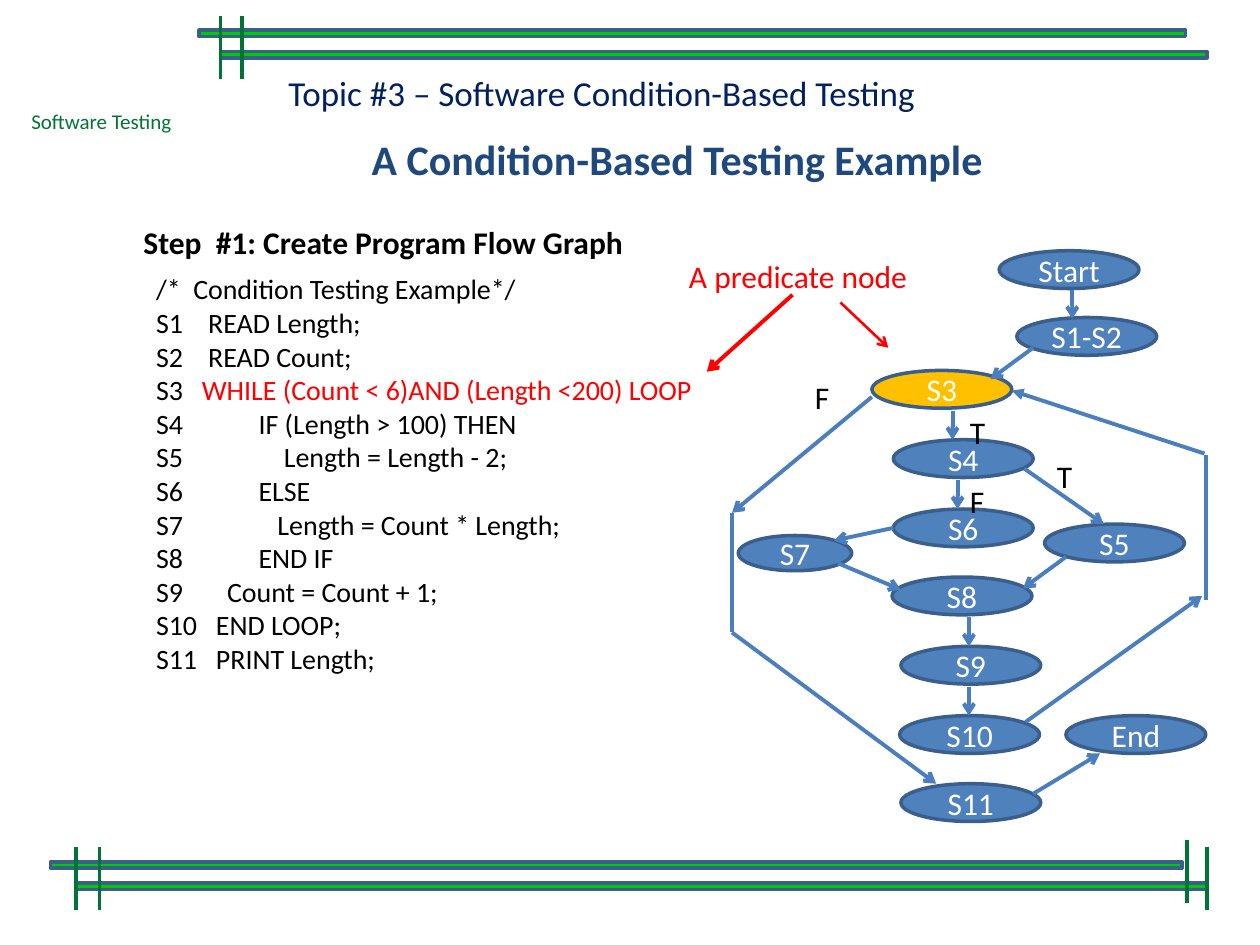
from lxml import etree
from pptx import Presentation
from pptx import util as u
from pptx.dml.color import RGBColor
from pptx.enum import shapes, text
from pptx.oxml.ns import qn

FONT = "Calibri"
GREEN, BAR_GREEN = "007434", "00CC00"
BLUE, OUTLINE, EDGE = "4F81BD", "3A5F8C", "4B7EBC"
AMBER, RED, BLACK, WHITE = "FFC000", "FF0000", "000000", "FFFFFF"

CODE = [
    "/*  Condition Testing Example*/",
    "S1    READ Length;",
    "S2    READ Count;",
    "S3   WHILE (Count < 6)AND (Length <200) LOOP",
    "S4            IF (Length > 100) THEN",
    "S5                Length = Length - 2;",
    "S6            ELSE",
    "S7               Length = Count * Length;",
    "S8            END IF",
    "S9       Count = Count + 1;",
    "S10   END LOOP;",
    "S11   PRINT Length;",
]

# Flow graph places are relative to the graph's top left corner.
NODE_SIZE = (1.11, 0.3)
NODES = {
    "Start": (2.12, 0), "S1-S2": (2.26, 0.53), "S3": (1.11, 0.95),
    "S4": (1.28, 1.5), "S5": (2.48, 2.17), "S6": (1.28, 2.05),
    "S7": (0.05, 2.26), "S8": (1.27, 2.59), "S9": (1.34, 3.14),
    "S10": (1.33, 3.69), "S11": (1.34, 4.23), "End": (2.65, 3.69),
}
EDGES = [
    (2.7, 0.31, 2.7, 0.54, "arrow"),      # Start to S1-S2
    (2.39, 0.77, 2.05, 1.02, "arrow"),    # S1-S2 to S3
    (1.75, 1.27, 1.75, 1.5, "arrow"),     # S3 to S4
    (1.79, 1.82, 1.79, 2.05, "arrow"),    # S4 to S6
    (2.32, 1.73, 2.95, 2.17, "arrow"),    # S4 to S5
    (1.28, 2.2, 0.81, 2.3, "arrow"),      # S6 to S7
    (2.65, 2.43, 2.31, 2.68, "arrow"),    # S5 to S8
    (0.84, 2.48, 1.34, 2.69, "arrow"),    # S7 to S8
    (1.88, 2.91, 1.88, 3.14, "arrow"),    # S8 to S9
    (1.88, 3.46, 1.88, 3.69, "arrow"),    # S9 to S10
    (2.33, 3.74, 3.73, 2.74, "arrow"),    # S10 back to S3
    (3.76, 2.77, 3.76, 1.62, None),
    (3.75, 1.61, 2.22, 1.11, "triangle"),
    (1.11, 1.16, 0, 2.08, "arrow"),       # S3 out to S11
    (0, 3.03, 0, 2.08, None),
    (0, 3.03, 1.62, 4.23, "arrow"),
    (2.39, 4.31, 2.92, 3.99, "arrow"),    # S11 to End
]
BRANCH_LABELS = [("T", 1.79, 1.24), ("T", 2.48, 1.59), ("F", 1.79, 1.79), ("F", 0.56, 0.96)]


def rgb(color):
    return RGBColor.from_string(color)


def inches(*values):
    return [u.Inches(v) for v in values]


def set_font(font, size, color, bold=False):
    font.name, font.size, font.bold = FONT, u.Pt(size), bold
    font.color.rgb = rgb(color)


def add_shape(s, kind, box, fill, outline=None):
    sp = s.shapes.add_shape(kind, *inches(*box))
    sp.shadow.inherit = False
    sp.fill.solid()
    sp.fill.fore_color.rgb = rgb(fill)
    if outline:
        sp.line.color.rgb = rgb(outline)
        sp.line.width = u.Pt(2)
    else:
        sp.line.fill.background()
    return sp


def add_line(s, x1, y1, x2, y2, color, width=2.25, head=None):
    line = s.shapes.add_connector(shapes.MSO_CONNECTOR.STRAIGHT, *inches(x1, y1, x2, y2))
    line.line.color.rgb = rgb(color)
    line.line.width = u.Pt(width)
    if head:
        etree.SubElement(line.line._get_or_add_ln(), qn("a:tailEnd"), type=head)
    etree.SubElement(line._element.spPr, qn("a:effectLst"))


def add_text(s, words, box, size, color, bold=False):
    tf = s.shapes.add_textbox(*inches(*box)).text_frame
    tf.word_wrap = True
    p = tf.paragraphs[0]
    p.text = words
    set_font(p.font, size, color, bold)


def add_rails(s, left, top, length, bars, posts):
    """Draw horizontal bars crossed by short vertical posts."""
    for x, y in bars:
        add_shape(s, shapes.MSO_SHAPE.FLOWCHART_PROCESS,
                  (left + x, top + y, length, 0.05), BAR_GREEN, OUTLINE)
    for x, y in posts:
        add_line(s, left + x, top + y, left + x, top + y + 0.5, GREEN)


def add_heading(s, left, top):
    add_text(s, "Topic #3 – Software Condition-Based Testing",
             (left + 0.2, top, 6.65, 0.44), 20, "002060")
    sp = add_shape(s, shapes.MSO_SHAPE.RECTANGLE, (left, top + 0.49, 6.77, 0.55), WHITE)
    tf = sp.text_frame
    tf.word_wrap = True
    tf.vertical_anchor = text.MSO_ANCHOR.MIDDLE
    tf.margin_left = tf.margin_top = tf.margin_right = tf.margin_bottom = u.Inches(0.16)
    p = tf.paragraphs[0]
    p.text = "A Condition-Based Testing Example"
    p.alignment = text.PP_ALIGN.CENTER
    p.line_spacing = 0.9
    set_font(p.font, 24, "1F497D", True)


def add_code(s, left, top):
    add_text(s, "Step  #1: Create Program Flow Graph", (left, top, 4.05, 0.4), 18, BLACK, True)
    tf = s.shapes.add_textbox(*inches(left + 0.1, top + 0.39, 4.53, 3.33)).text_frame
    tf.word_wrap = True
    for i, code in enumerate(CODE):
        p = tf.paragraphs[0] if i == 0 else tf.add_paragraph()
        before, keyword, after = code.partition("WHILE")
        p.add_run().text = before
        set_font(p.font, 16, BLACK)
        if keyword:
            r = p.add_run()
            r.text = keyword + after
            r.font.color.rgb = rgb(RED)


def add_flow_graph(s, left, top):
    for name, (x, y) in NODES.items():
        width, height = (0.9, 0.28) if name == "S7" else NODE_SIZE
        sp = add_shape(s, shapes.MSO_SHAPE.OVAL, (left + x, top + y, width, height),
                       AMBER if name == "S3" else BLUE, OUTLINE)
        tf = sp.text_frame
        tf.word_wrap = True
        tf.vertical_anchor = text.MSO_ANCHOR.MIDDLE
        p = tf.paragraphs[0]
        p.text = name
        p.alignment = text.PP_ALIGN.CENTER
        set_font(p.font, 18, WHITE)
    for x1, y1, x2, y2, head in EDGES:
        add_line(s, left + x1, top + y1, left + x2, top + y2, EDGE, head=head)
    for label, x, y in BRANCH_LABELS:
        add_text(s, label, (left + x, top + y, 0.33, 0.29), 18, BLACK)


def add_predicate_note(s, left, top):
    add_text(s, "A predicate node", (left, top, 1.96, 0.4), 18, RED)
    add_line(s, left + 1.3, top + 0.41, left + 1.68, top + 0.77, RED, 1.5, "arrow")
    add_line(s, left + 0.92, top + 0.35, left + 0.24, top + 0.96, RED, head="arrow")


def main():
    prs = Presentation()
    prs.slide_width, prs.slide_height = inches(10, 7.5)
    s = prs.slides.add_slide(prs.slide_layouts[6])
    add_text(s, "Software Testing", (0.15, 0.81, 1.33, 0.3), 12, GREEN)
    add_rails(s, 1.58, 0.13, 7.83, [(0, 0.11), (0.17, 0.28)], [(0.17, 0), (0.34, 0)])
    add_rails(s, 0.4, 6.67, 8.98, [(0, 0.17), (0.2, 0.34)],
              [(0.2, 0.05), (0.39, 0.05), (9.18, 0.05), (9.02, 0)])
    add_heading(s, 1.99, 0.52)
    add_code(s, 1.04, 1.72)
    add_flow_graph(s, 5.81, 1.99)
    add_predicate_note(s, 5.37, 1.99)
    prs.save("out.pptx")


if __name__ == "__main__":
    main()
